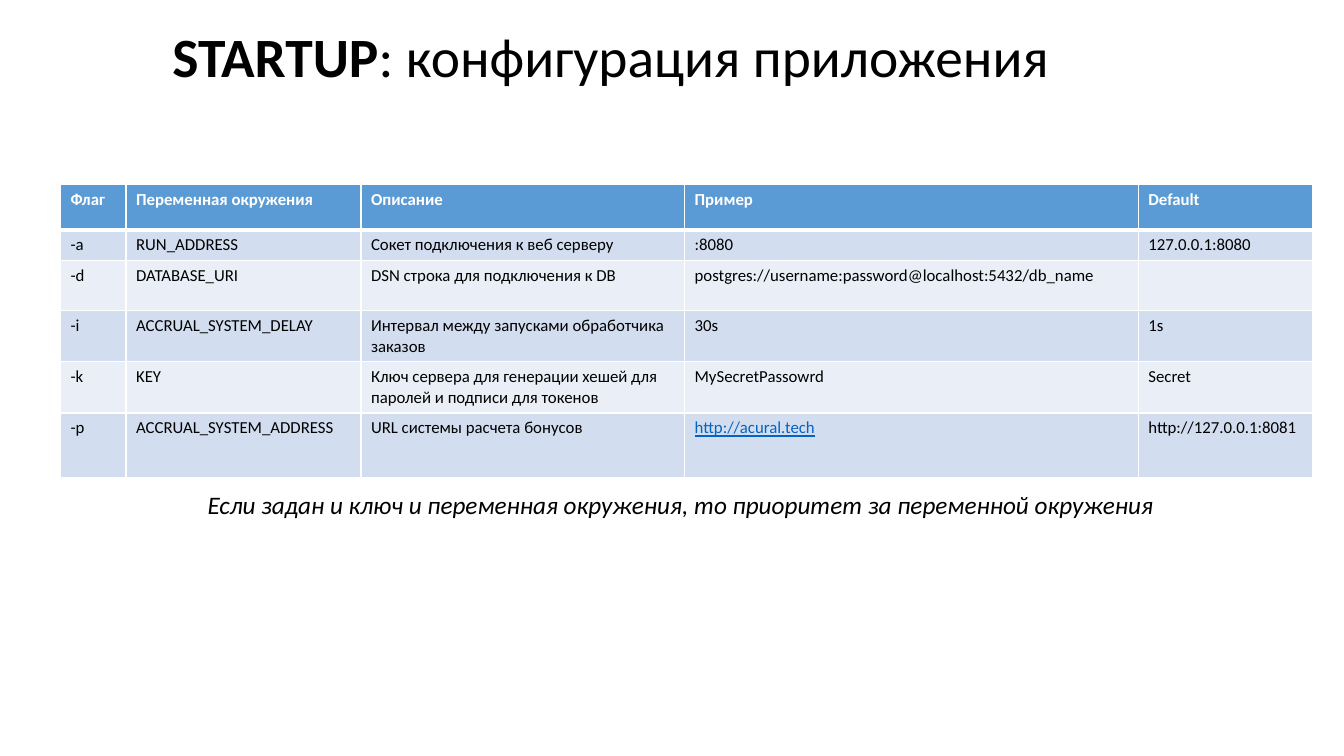
from dataclasses import dataclass
from typing import Any

from lxml.etree import SubElement
from pptx import Presentation
from pptx.dml.color import RGBColor
from pptx.enum.text import MSO_ANCHOR, MSO_AUTO_SIZE, PP_ALIGN
from pptx.oxml.ns import qn
from pptx.util import Inches, Pt

BLACK = "000000"
WHITE = "FFFFFF"
HEADER_BLUE = "5B9BD5"
LINK_BLUE = "0563C1"
BANDS = ("D2DEEF", "EAEFF7")


@dataclass(frozen=True)
class Column:
    heading: str
    width: float


@dataclass(frozen=True)
class Setting:
    flag: str
    variable: str
    description: str
    example: str
    default: str
    height: float = 0.5
    example_is_link: bool = False


COLUMNS = (
    Column("Флаг", 0.65),
    Column("Переменная окружения", 2.33),
    Column("Описание", 3.21),
    Column("Пример", 4.5),
    Column("Default", 1.73),
)
SETTINGS = (
    Setting("-a", "RUN_ADDRESS", "Сокет подключения к веб серверу", ":8080", "127.0.0.1:8080", 0.3),
    Setting("-d", "DATABASE_URI", "DSN строка для подключения к DB",
            "postgres://username:password@localhost:5432/db_name", ""),
    Setting("-i", "ACCRUAL_SYSTEM_DELAY", "Интервал между запусками обработчика заказов", "30s", "1s"),
    Setting("-k", "KEY", "Ключ сервера для генерации хешей для паролей и подписи для токенов",
            "MySecretPassowrd", "Secret"),
    Setting("-p", "ACCRUAL_SYSTEM_ADDRESS", "URL системы расчета бонусов",
            "http://acural.tech", "http://127.0.0.1:8081", 0.64, True),
)
HEADER_HEIGHT = 0.45


def color(value: str) -> RGBColor:
    return RGBColor.from_string(value)


def format_font(font: Any, size: float, fill: str = BLACK, **values: Any) -> None:
    for name, value in {"name": "Calibri", "size": Pt(size), **values}.items():
        setattr(font, name, value)
    font.color.rgb = color(fill)


def add_span(para: Any, text: str, size: float, fill: str = BLACK, **values: Any) -> None:
    span = para.add_run()
    span.text = text
    format_font(span.font, size, fill, **values)


def set_borders(cell: Any, bottom: float) -> None:
    properties = cell._tc.get_or_add_tcPr()
    widths = {"a:lnL": 1, "a:lnR": 1, "a:lnT": 1, "a:lnB": bottom}
    for position, (tag, width) in enumerate(widths.items()):
        line = SubElement(properties, qn(tag), w=str(Pt(width)))
        fill = SubElement(line, qn("a:solidFill"))
        SubElement(fill, qn("a:srgbClr"), val=WHITE)
        properties.insert(position, line)


def fill_cell(cell: Any, text: str, background: str, fill: str = BLACK,
              bottom: float = 1, **values: Any) -> None:
    cell.fill.solid()
    cell.fill.fore_color.rgb = color(background)
    set_borders(cell, bottom)
    para = cell.text_frame.paragraphs[0]
    if text:
        add_span(para, text, 12, fill, **values)
    else:
        format_font(para.font, 12)


def add_title(page: Any) -> None:
    title = page.shapes.title
    place = {"left": 1.61, "top": 0.34, "width": 11.5, "height": 0.51}
    for name, value in place.items():
        setattr(title, name, Inches(value))
    frame = title.text_frame
    frame.auto_size = MSO_AUTO_SIZE.NONE
    frame.vertical_anchor = MSO_ANCHOR.MIDDLE
    para = frame.paragraphs[0]
    para.alignment = PP_ALIGN.LEFT
    para.line_spacing = 0.9
    add_span(para, "STARTUP", 39.6, bold=True)
    add_span(para, ": конфигурация приложения", 39.6, bold=False)


def add_settings_table(page: Any) -> None:
    heights = [HEADER_HEIGHT, *(setting.height for setting in SETTINGS)]
    width = sum(column.width for column in COLUMNS)
    table = page.shapes.add_table(
        len(heights), len(COLUMNS), Inches(0.6), Inches(1.83), Inches(width), Inches(sum(heights))
    ).table
    for row, height in zip(table.rows, heights):
        row.height = Inches(height)
    for index, column in enumerate(COLUMNS):
        table.columns[index].width = Inches(column.width)
        fill_cell(table.cell(0, index), column.heading, HEADER_BLUE, WHITE, 3, bold=True)
    for index, setting in enumerate(SETTINGS):
        texts = (setting.flag, setting.variable, setting.description, setting.example, setting.default)
        for place, text in enumerate(texts):
            is_link = setting.example_is_link and text == setting.example
            fill_cell(table.cell(index + 1, place), text, BANDS[index % 2],
                      LINK_BLUE if is_link else BLACK, bold=False, underline=is_link)


def add_priority_note(page: Any) -> None:
    box = page.shapes.add_textbox(Inches(1.96), Inches(4.81), Inches(9.69), Inches(0.4))
    frame = box.text_frame
    frame.word_wrap = False
    frame.auto_size = MSO_AUTO_SIZE.SHAPE_TO_FIT_TEXT
    add_span(frame.paragraphs[0],
             "Если задан и ключ и переменная окружения, то приоритет за переменной окружения",
             18, italic=True)


def main() -> None:
    deck = Presentation()
    deck.slide_width = Inches(13.33)
    deck.slide_height = Inches(7.5)
    page = deck.slides.add_slide(deck.slide_layouts.get_by_name("Title Only"))
    add_title(page)
    add_settings_table(page)
    add_priority_note(page)
    deck.save("out.pptx")


if __name__ == "__main__":
    main()
